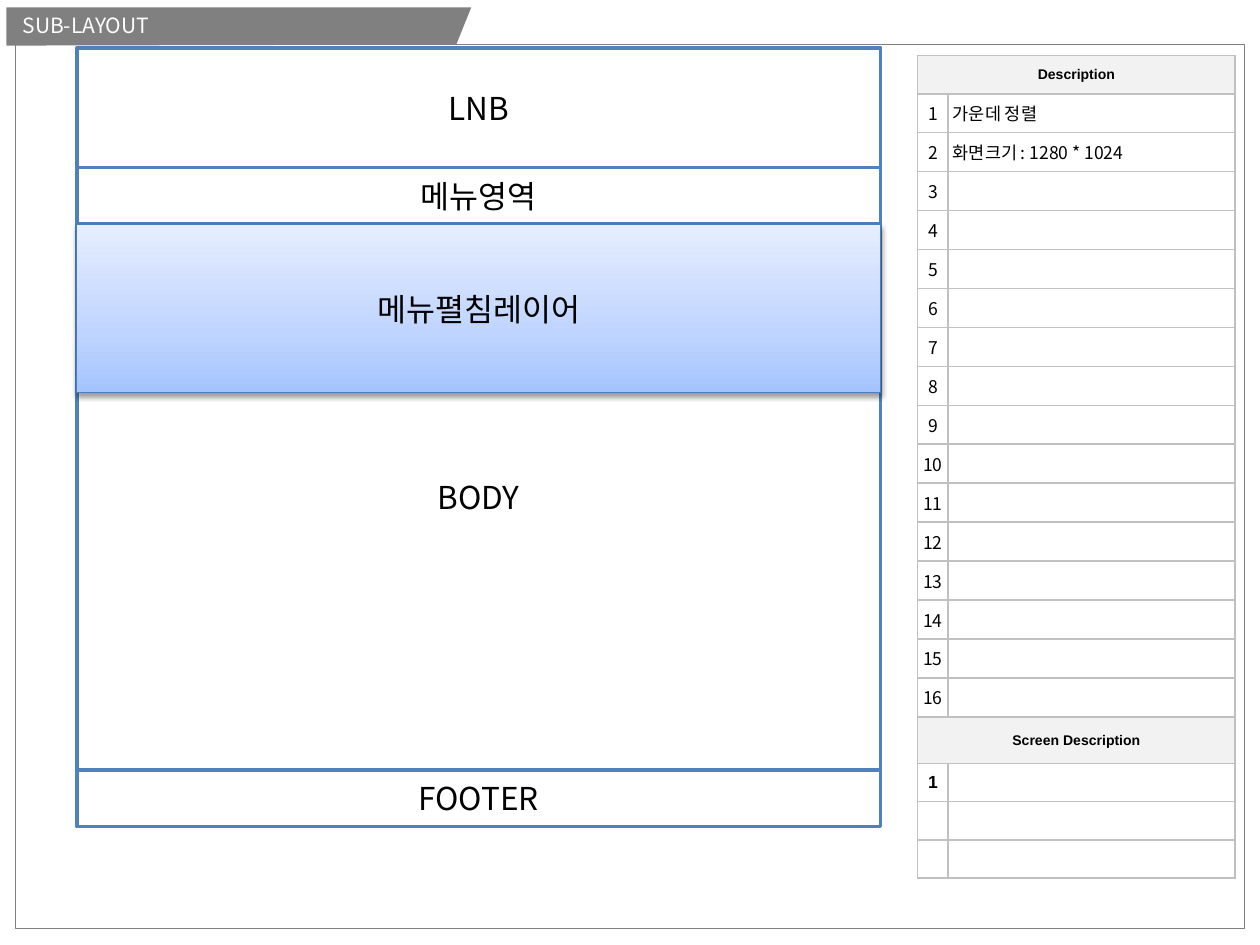
import pptx
import pptx.util
import pptx.dml.color
import pptx.enum.shapes
import pptx.enum.text
import pptx.oxml
import pptx.oxml.ns
import lxml.etree

Cm = pptx.util.Cm
Pt = pptx.util.Pt
RGBColor = pptx.dml.color.RGBColor
ALIGN = pptx.enum.text.PP_ALIGN
MIDDLE = pptx.enum.text.MSO_ANCHOR.MIDDLE
RECTANGLE = pptx.enum.shapes.MSO_SHAPE.RECTANGLE
qn = pptx.oxml.ns.qn

GRAY = RGBColor(0x80, 0x80, 0x80)
BORDER_GRAY = RGBColor(0xC0, 0xC0, 0xC0)
HEADING_FILL = RGBColor(0xF2, 0xF2, 0xF2)
BLUE = RGBColor(0x4F, 0x81, 0xBD)
LAYER_BLUE = RGBColor(0x4B, 0x7E, 0xBC)
LAYER_STOPS = ((0, RGBColor(0xA4, 0xC4, 0xFF)),
               (35, RGBColor(0xBF, 0xD4, 0xFF)),
               (100, RGBColor(0xE6, 0xEE, 0xFF)))
WHITE = RGBColor(0xFF, 0xFF, 0xFF)
BLACK = RGBColor(0, 0, 0)
KOREAN_FONT = "Noto Sans CJK KR"
DRAWING_NS = pptx.oxml.ns.nsdecls("a")


def write(frame, text, size=18, font=KOREAN_FONT, color=BLACK, bold=False, align=ALIGN.CENTER):
    paragraph = frame.paragraphs[0]
    paragraph.alignment = align
    if not text:
        end = lxml.etree.SubElement(paragraph._p, qn("a:endParaRPr"))
        end.set("sz", str(size * 100))
        return
    run = paragraph.add_run()
    run.text = text
    run.font.size = Pt(size)
    run.font.name = font
    run.font.bold = bold
    run.font.color.rgb = color
    east_asian = lxml.etree.SubElement(run.font._element, qn("a:ea"))
    east_asian.set("typeface", font)


def add_area(left, top, width, height, text="", fill=WHITE, line=BLUE, weight=2):
    area = slide.shapes.add_shape(RECTANGLE, left, top, width, height)
    area.shadow.inherit = False
    area.fill.solid()
    area.fill.fore_color.rgb = fill
    area.line.color.rgb = line
    area.line.width = Pt(weight)
    area.text_frame.vertical_anchor = MIDDLE
    write(area.text_frame, text)
    return area


deck = pptx.Presentation()
deck.slide_width = Cm(25.4)
deck.slide_height = Cm(19.05)
slide = deck.slides.add_slide(deck.slide_layouts[5])

add_area(Cm(0.3), Cm(0.89), Cm(24.79), Cm(17.83), line=GRAY, weight=0.25)

outline = slide.shapes.build_freeform(Cm(0.13), Cm(0.15))
outline.add_line_segments(
    [(Cm(9.5), Cm(0.15)), (Cm(9.2), Cm(0.9)), (Cm(0.13), Cm(0.92))], close=True)
banner = outline.convert_to_shape()
banner.shadow.inherit = False
banner.fill.solid()
banner.fill.fore_color.rgb = GRAY
banner.line.fill.background()

title = slide.shapes.title
title.left, title.top, title.width, title.height = Cm(0.2), Cm(0.13), Cm(7.6), Cm(0.77)
title.text_frame.auto_size = pptx.enum.text.MSO_AUTO_SIZE.NONE
title.text_frame.vertical_anchor = MIDDLE
write(title.text_frame, "SUB-LAYOUT", size=12, color=WHITE, align=ALIGN.LEFT)
slide.shapes._spTree.append(title.element)

notes = {1: "가운데 정렬", 2: "화면크기 : 1280 * 1024"}
numbered_rows = [(str(n), notes.get(n, "")) for n in range(1, 17)]
rows = [("Description", None), *numbered_rows, ("Screen Description", None),
        ("1", ""), ("", ""), ("", "")]
heights = [Cm(0.77)] + [Cm(12.57) // 16] * 16 + [Cm(0.94)] + [Cm(0.77)] * 3
description = slide.shapes.add_table(
    len(rows), 2, Cm(18.5), Cm(1.12), Cm(6.4), sum(heights)).table
description.first_row = False
description.horz_banding = False
description.columns[0].width = Cm(0.61)
description.columns[1].width = Cm(5.79)

for index, (row, height) in enumerate(zip(rows, heights)):
    description.rows[index].height = height
    is_heading = row[1] is None
    for column, text in enumerate(row):
        cell = description.cell(index, column)
        cell.margin_left = Cm(0.1) if column else 0
        cell.margin_right = cell.margin_top = cell.margin_bottom = 0
        cell.vertical_anchor = MIDDLE
        properties = cell._tc.get_or_add_tcPr()
        for side in ("lnL", "lnR", "lnT", "lnB"):
            properties.append(pptx.oxml.parse_xml(
                f'<a:{side} {DRAWING_NS} w="12700"><a:solidFill>'
                f'<a:srgbClr val="{BORDER_GRAY}"/></a:solidFill></a:{side}>'))
        if is_heading:
            cell.fill.solid()
            cell.fill.fore_color.rgb = HEADING_FILL
        else:
            cell.fill.background()
        in_screen_part = index > 16
        write(cell.text_frame, text,
              size=8 if is_heading else 10,
              font="Arial" if is_heading or in_screen_part else KOREAN_FONT,
              bold=is_heading or in_screen_part,
              align=ALIGN.LEFT if column else ALIGN.CENTER)
    if is_heading:
        description.cell(index, 0).merge(description.cell(index, 1))

area_left, area_width = Cm(1.55), Cm(16.2)
area_top = Cm(0.97)
for name, height in (("LNB", 2.41), ("메뉴영역", 1.14), ("BODY", 11), ("FOOTER", 1.14)):
    add_area(area_left, area_top, area_width, Cm(height), name)
    area_top += Cm(height)

menu_layer = add_area(area_left, Cm(4.52), area_width, Cm(3.4), "메뉴펼침레이어",
                      line=LAYER_BLUE, weight=0.75)
layer_properties = menu_layer.element.spPr
stops = "".join(f'<a:gs pos="{position * 1000}"><a:srgbClr val="{color}"/></a:gs>'
                for position, color in LAYER_STOPS)
layer_properties.replace(layer_properties.find(qn("a:solidFill")), pptx.oxml.parse_xml(
    f'<a:gradFill {DRAWING_NS} rotWithShape="1"><a:gsLst>{stops}</a:gsLst>'
    '<a:lin ang="16200000" scaled="0"/></a:gradFill>'))
layer_properties.find(qn("a:effectLst")).append(pptx.oxml.parse_xml(
    f'<a:outerShdw {DRAWING_NS} blurRad="40000" dist="20000" dir="5400000" rotWithShape="0">'
    f'<a:srgbClr val="{BLACK}"><a:alpha val="38000"/></a:srgbClr></a:outerShdw>'))

deck.save("out.pptx")
